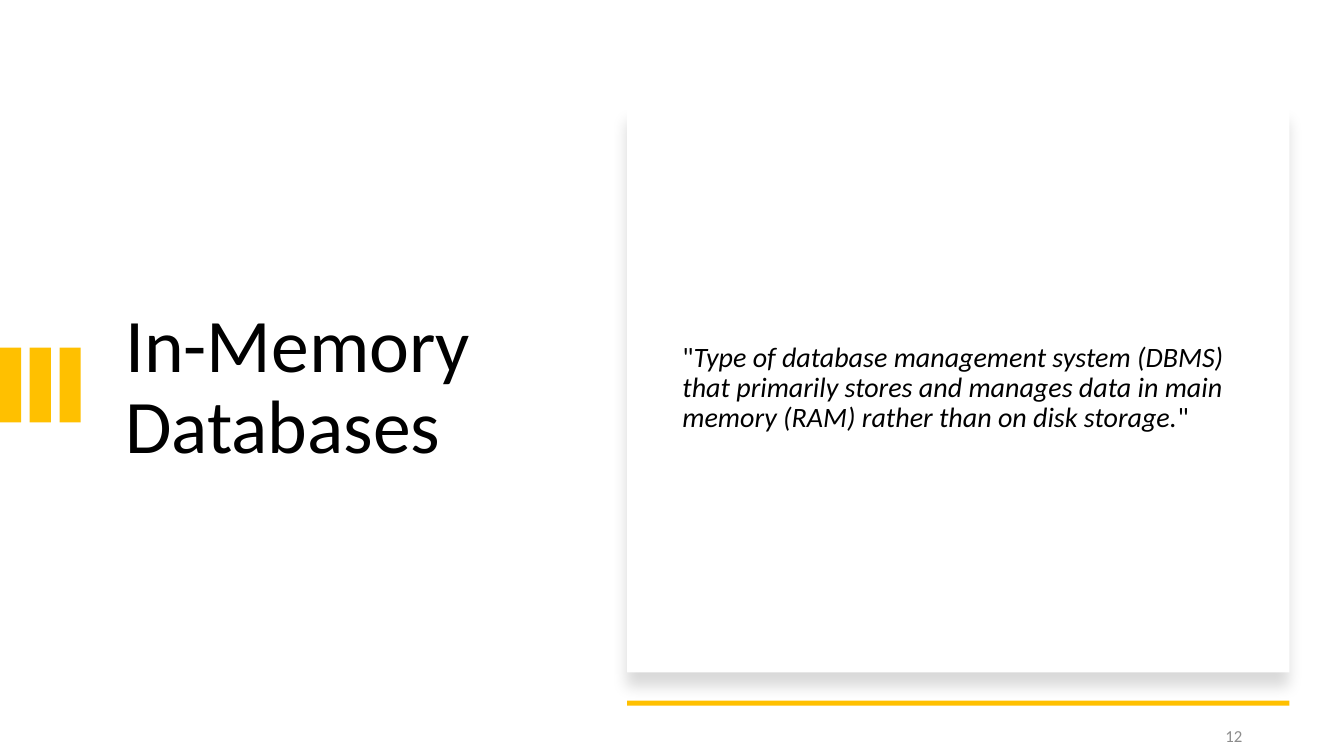
"""Build the In-Memory Databases definition slide."""
from dataclasses import dataclass

from lxml import etree
from pptx import Presentation
from pptx.dml.color import RGBColor
from pptx.enum.shapes import MSO_SHAPE
from pptx.enum.text import MSO_ANCHOR, MSO_AUTO_SIZE, PP_ALIGN
from pptx.oxml.ns import qn
from pptx.util import Inches, Pt

RECT = MSO_SHAPE.RECTANGLE
MIDDLE = MSO_ANCHOR.MIDDLE
NO_FIT = MSO_AUTO_SIZE.NONE
LEFT = PP_ALIGN.LEFT
RIGHT = PP_ALIGN.RIGHT


@dataclass(frozen=True)
class Theme:
    font: str = "Calibri"
    ink: str = "000000"
    paper: str = "FFFFFF"
    gold: str = "FFC000"
    gray: str = "8C8C8C"
    title: int = 54
    body: int = 20
    small: int = 12


THEME = Theme()


def place(shape, left, top, width, height):
    shape.left, shape.top = Inches(left), Inches(top)
    shape.width, shape.height = Inches(width), Inches(height)


def write(shape, *parts, size, color=THEME.ink, align=LEFT, line=None, before=0, after=0):
    frame = shape.text_frame
    frame.word_wrap = True
    frame.auto_size = NO_FIT
    frame.vertical_anchor = MIDDLE
    para = frame.paragraphs[0]
    para.alignment = align
    para.line_spacing = line
    para.space_before, para.space_after = Pt(before), Pt(after)
    for words, slant in parts:
        run = para.add_run()
        run.text = words
        font = run.font
        font.name, font.size, font.italic = THEME.font, Pt(size), slant
        font.color.rgb = RGBColor.from_string(color)


def add_text(slide, box, *parts, **style):
    shape = slide.shapes.add_textbox(*map(Inches, box))
    write(shape, *parts, **style)


def add_block(slide, box, color):
    shape = slide.shapes.add_shape(RECT, *map(Inches, box))
    shape.shadow.inherit = False
    shape.fill.solid()
    shape.fill.fore_color.rgb = RGBColor.from_string(color)
    shape.line.fill.background()
    return shape


def add_shade(shape, blur, dist, alpha):
    effect = shape._element.spPr.find(qn("a:effectLst"))
    shade = etree.SubElement(
        effect, qn("a:outerShdw"), blurRad=str(Pt(blur)), dist=str(Pt(dist)),
        dir=str(90 * 60000), algn="t", rotWithShape="0")
    color = etree.SubElement(shade, qn("a:srgbClr"), val=THEME.ink)
    etree.SubElement(color, qn("a:alpha"), val=str(alpha * 1000))


def add_bars(slide, count, step):
    group = slide.shapes.add_group_shape()
    for i in range(count):
        bar = group.shapes.add_shape(RECT, 0, 0, 0, 0)
        place(bar, i * step, 3.45, 0.21, 0.74)
        bar.shadow.inherit = False
        bar.fill.solid()
        bar.fill.fore_color.rgb = RGBColor.from_string(THEME.gold)
        bar.line.fill.background()


def main():
    deck = Presentation()
    deck.slide_width, deck.slide_height = Inches(13.33), Inches(7.5)
    slide = deck.slides.add_slide(deck.slide_layouts[5])

    title = slide.shapes.title
    place(title, 1.14, 1.5, 4.26, 4.71)
    write(title, ("In-Memory Databases", False), size=THEME.title, line=0.9)

    add_bars(slide, 3, 0.295)
    card = add_block(slide, (6.22, 1.07, 6.57, 5.6), THEME.paper)
    add_shade(card, blur=11, dist=10, alpha=15)
    quote = ("Type of database management system (DBMS) that primarily stores and "
             "manages data in main memory (RAM) rather than on disk storage.")
    add_text(slide, (6.67, 1.5, 5.71, 4.71), ('"', False), (quote, True), ('"', False),
             size=THEME.body, line=0.9, before=10)
    add_block(slide, (6.22, 6.95, 6.57, 0.05), THEME.gold)
    add_text(slide, (11.23, 7.1, 1.19, 0.4), ("12", False),
             size=THEME.small, color=THEME.gray, align=RIGHT, after=6)
    deck.save("out.pptx")


if __name__ == "__main__":
    main()
